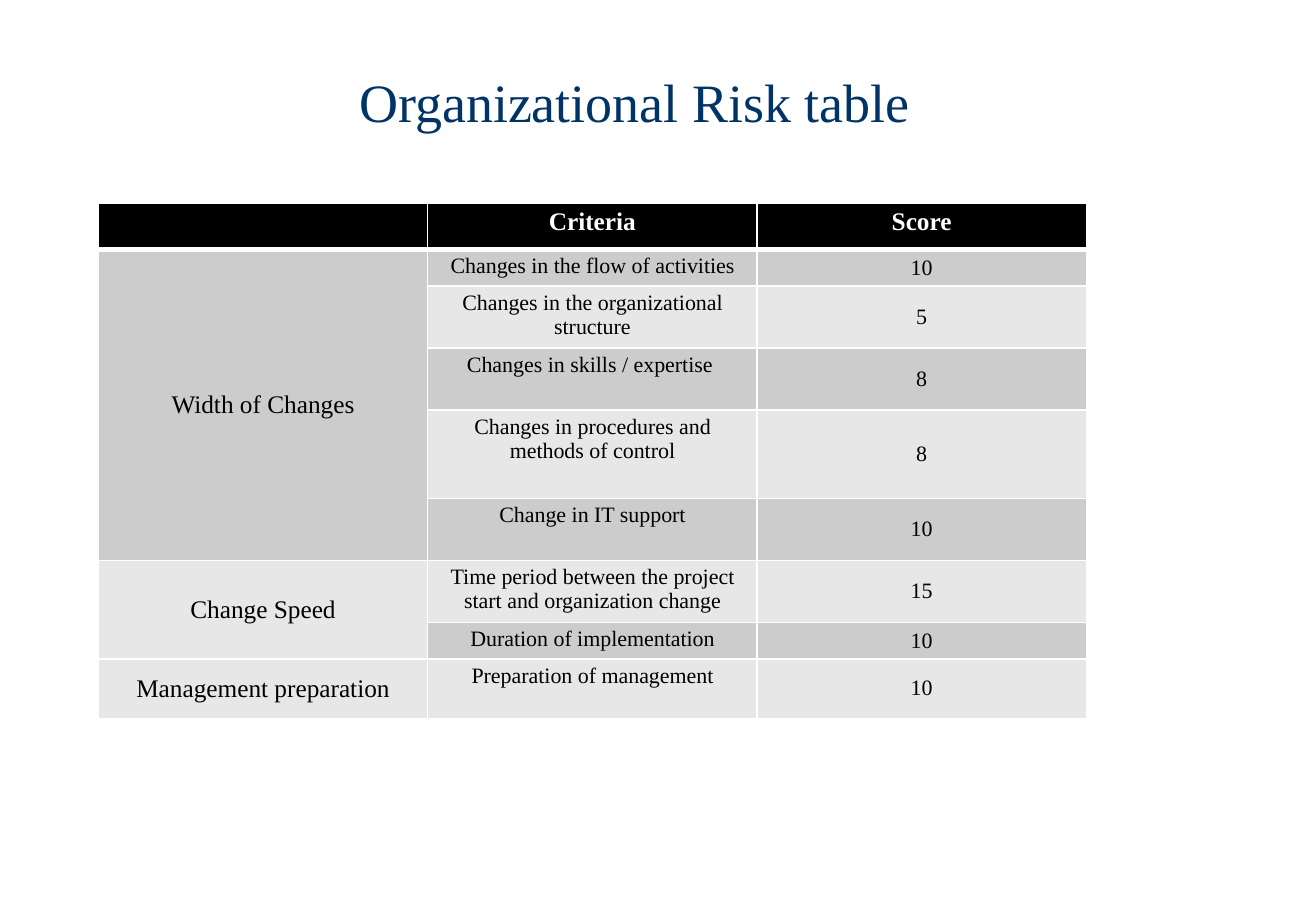
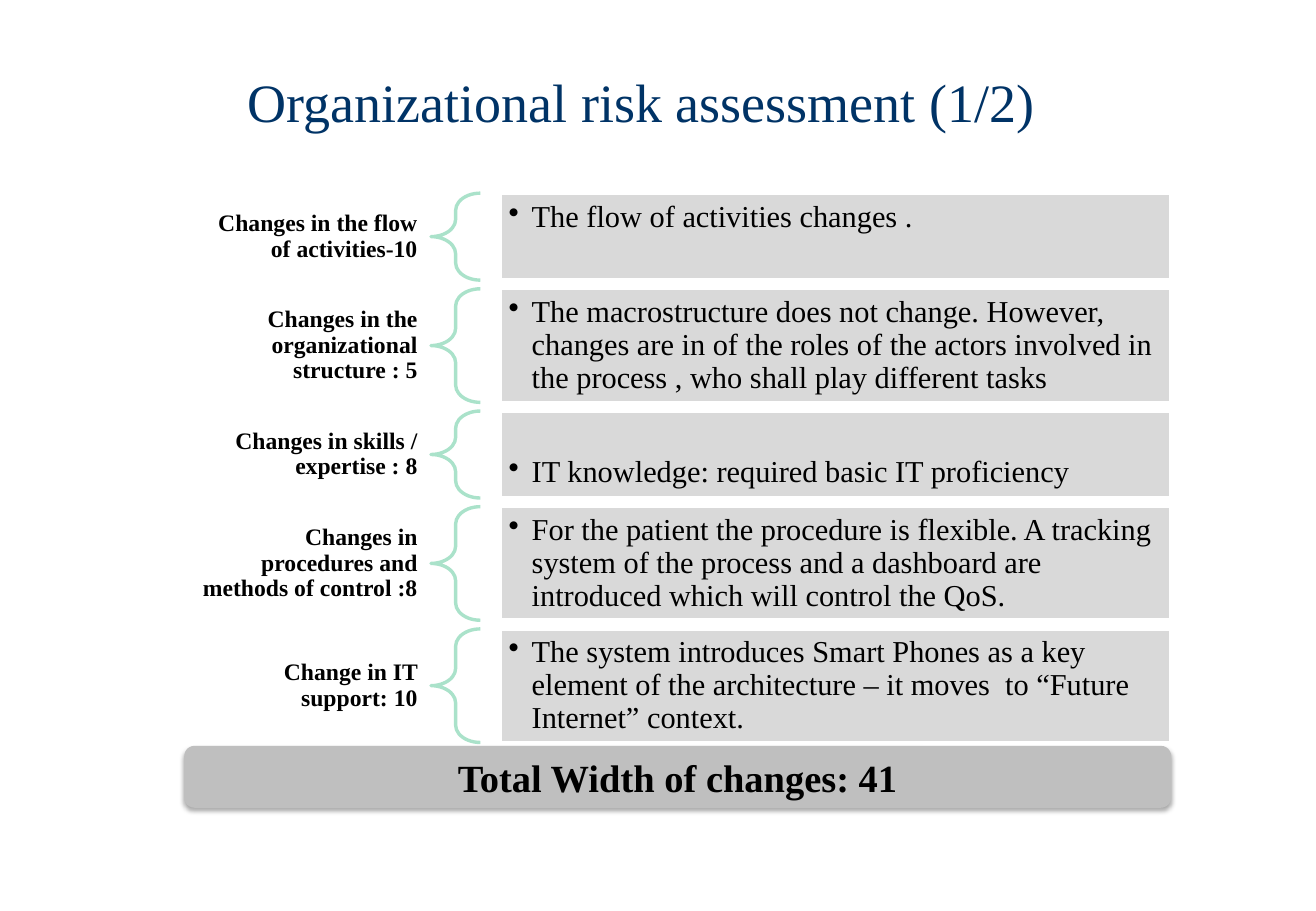
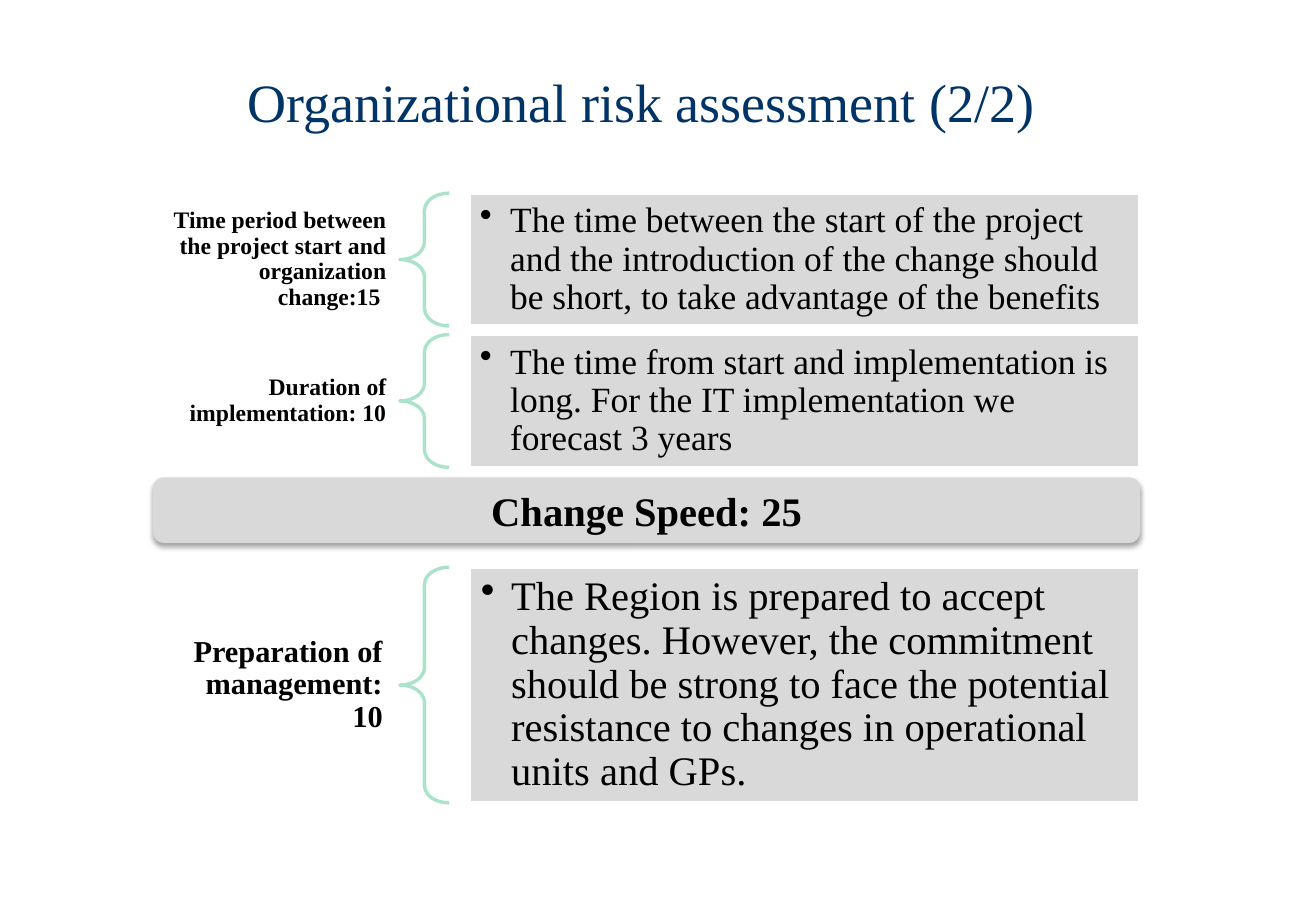
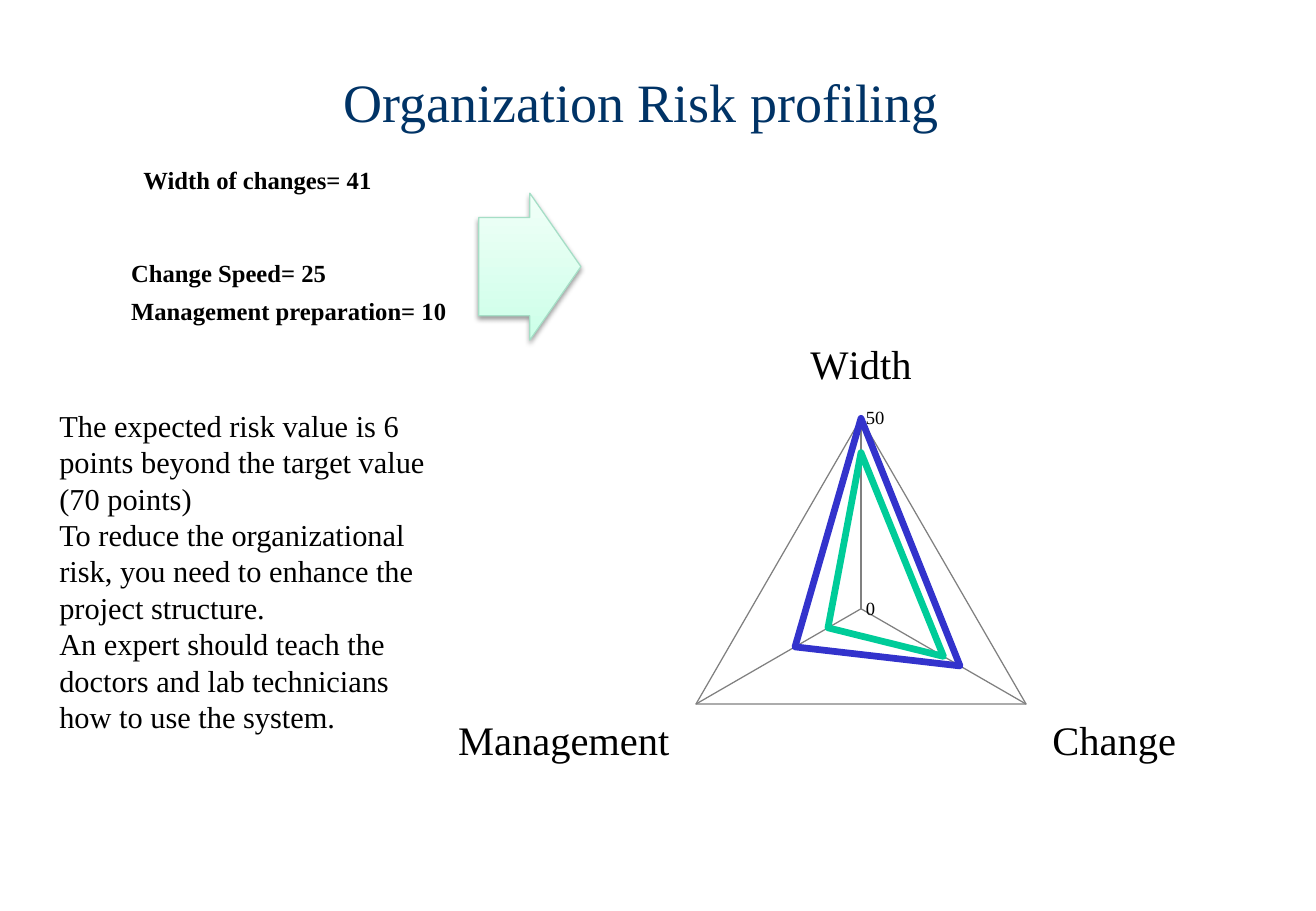
from collections import namedtuple

from lxml.etree import SubElement
from pptx import Presentation
from pptx.chart.data import CategoryChartData
from pptx.dml.color import RGBColor
from pptx.enum.chart import XL_CHART_TYPE as ChartType, XL_MARKER_STYLE as Marker, XL_TICK_MARK as Tick
from pptx.enum.shapes import MSO_SHAPE as Shape
from pptx.enum.text import MSO_ANCHOR as Anchor, PP_ALIGN as Align
from pptx.oxml import parse_xml
from pptx.oxml.ns import nsdecls, qn
from pptx.util import Inches, Pt

SLIDE_W, SLIDE_H = Inches(10.83), Inches(7.5)
FONT = "Times New Roman"
NAVY, BLACK, WHITE, MINT = "003366", "000000", "FFFFFF", "AAE2CA"
PANEL, TOTAL, GRID = "D9D9D9", "BFBFBF", "808080"
BANDS = ("CCCCCC", "E7E7E7")

Box = namedtuple("Box", "left top width height")


def share(left, top, width, height):
    """Box from percentages of the slide's width and height."""
    return Box(*(int(part * side / 100) for part, side in
                 zip((left, top, width, height), (SLIDE_W, SLIDE_H) * 2)))


TITLE_BOX = share(7.48, 4.4, 82.55, 13.33)
ROW_GAP = int(SLIDE_H * 0.0095)


def rgb(code):
    return RGBColor.from_string(code)


def apply(target, **values):
    for name, value in values.items():
        setattr(target, name, value)


def style_font(font, size, color=BLACK, bold=False):
    apply(font, name=FONT, size=Pt(size), bold=bold)
    font.color.rgb = rgb(color)


def write(frame, lines, size, color=BLACK, bold=False, align=Align.LEFT, anchor=Anchor.MIDDLE,
          inset=(0.08, 0.04), spacing=None, bullet_indent=None):
    """Fill a text frame, one paragraph for each line."""
    across, down = map(Inches, inset)
    apply(frame, word_wrap=True, vertical_anchor=anchor, margin_left=across,
          margin_right=across, margin_top=down, margin_bottom=down)
    for number, line in enumerate(lines):
        para = frame.paragraphs[0] if number == 0 else frame.add_paragraph()
        apply(para, alignment=align, line_spacing=spacing)
        if bullet_indent:
            indent = Inches(bullet_indent)
            props = para._p.get_or_add_pPr()
            props.set("marL", str(indent))
            props.set("indent", str(-indent))
            SubElement(props, qn("a:buChar")).set("char", "•")
        run = para.add_run()
        run.text = line
        style_font(run.font, size, color, bold)


def add_label(slide, box, lines, size, **text_format):
    write(slide.shapes.add_textbox(*box).text_frame, lines, size, **text_format)


def add_plain_shape(slide, kind, box, fill=None, line=None, line_width=2, adjustments=()):
    shape = slide.shapes.add_shape(kind, *box)
    shape.shadow.inherit = False
    if fill:
        shape.fill.solid()
        shape.fill.fore_color.rgb = rgb(fill)
    else:
        shape.fill.background()
    if line:
        shape.line.color.rgb = rgb(line)
        shape.line.width = Pt(line_width)
    else:
        shape.line.fill.background()
    for number, value in enumerate(adjustments):
        shape.adjustments[number] = value
    return shape


def add_drop_shadow(shape, opacity):
    shape._element.spPr.find(qn("a:effectLst")).append(parse_xml(
        f'<a:outerShdw {nsdecls("a")} blurRad="{Pt(3.1)}" dist="{Pt(1.8)}" dir="5400000" '
        f'rotWithShape="0"><a:srgbClr val="{BLACK}"><a:alpha val="{opacity * 1000}"/>'
        '</a:srgbClr></a:outerShdw>'))


def add_titled_slide(deck, heading):
    slide = deck.slides.add_slide(deck.slide_layouts.get_by_name("Title Only"))
    title = slide.shapes.title
    apply(title, **TITLE_BOX._asdict())
    write(title.text_frame, [heading], 32, NAVY, align=Align.CENTER, inset=(0.1, 0.05))
    return slide


def border_cell(cell, bottom_width):
    props = cell._tc.get_or_add_tcPr()
    for place, side in enumerate("LRTB"):
        width = Pt(bottom_width if side == "B" else 1)
        props.insert(place, parse_xml(
            f'<a:ln{side} {nsdecls("a")} w="{width}"><a:solidFill>'
            f'<a:srgbClr val="{WHITE}"/></a:solidFill></a:ln{side}>'))


def add_risk_table(slide, box, header, groups, row_weights):
    """Table whose first column spans the criteria of each group."""
    table = slide.shapes.add_table(len(row_weights), len(header), *box).table
    for column in table.columns:
        column.width = box.width // len(header)
    for row, weight in zip(table.rows, row_weights):
        row.height = int(box.height * weight / sum(row_weights))

    records = [header]
    for group, criteria in groups:
        first = len(records)
        records += [(group if n == 0 else "", *entry) for n, entry in enumerate(criteria)]
        if len(criteria) > 1:
            table.cell(first, 0).merge(table.cell(len(records) - 1, 0))

    for r, record in enumerate(records):
        for c, words in enumerate(record):
            cell = table.cell(r, c)
            cell.fill.solid()
            cell.fill.fore_color.rgb = rgb(BANDS[(r - 1) % 2] if r else BLACK)
            border_cell(cell, 1 if r else 3)
            apply(cell, margin_left=Inches(0.08), margin_right=Inches(0.08),
                  margin_top=Inches(0.04), margin_bottom=Inches(0.04),
                  vertical_anchor=Anchor.MIDDLE if r and c != 1 else Anchor.TOP)
            para = cell.text_frame.paragraphs[0]
            para.alignment = Align.CENTER
            if words:
                run = para.add_run()
                run.text = words
                style_font(run.font, 13 if r and c else 15, BLACK if r else WHITE, not r)


def add_assessments(slide, box, entries, label_size, text_size, label_inset, text_inset, indent):
    """Rows of label, brace and panel; an entry is label, text, row weight, text anchor."""
    room = box.height - ROW_GAP * (len(entries) - 1)
    total = sum(weight for _, _, weight, _ in entries)
    top = box.top
    for label, words, weight, anchor in entries:
        height = int(room * weight / total)

        def part(start, width):
            return Box(box.left + int(box.width * start), top, int(box.width * width), height)

        add_label(slide, part(0, 0.25), [label], label_size, bold=True, align=Align.RIGHT,
                  inset=label_inset, spacing=0.9)
        add_plain_shape(slide, Shape.LEFT_BRACE, part(0.25, 0.05), line=MINT,
                        adjustments=(0.35, 0.5))
        panel = add_plain_shape(slide, Shape.RECTANGLE, part(0.32, 0.68), PANEL, WHITE)
        write(panel.text_frame, [words], text_size, anchor=anchor, inset=(text_inset,) * 2,
              spacing=0.9, bullet_indent=indent)
        top += height + ROW_GAP


def add_total_bar(slide, box, words, size, fill):
    bar = add_plain_shape(slide, Shape.ROUNDED_RECTANGLE, box, fill)
    add_drop_shadow(bar, 35)
    write(bar.text_frame, [words], size, bold=True, align=Align.CENTER)


def add_profile_arrow(slide, box):
    arrow = add_plain_shape(slide, Shape.RIGHT_ARROW, box, MINT, "A5DEC6", 0.75, (0.67, 0.5))
    arrow.fill.gradient()
    arrow.fill.gradient_angle = 90
    for stop, color in zip(arrow.fill.gradient_stops, ("CCFFE8", "F1FFF8")):
        stop.color.rgb = rgb(color)
    add_drop_shadow(arrow, 38)


def add_profile_radar(slide, box, categories, series):
    """Radar chart; series holds name, values and colour."""
    data = CategoryChartData()
    data.categories = categories
    for name, values, _ in series:
        data.add_series(name, values)
    chart = slide.shapes.add_chart(ChartType.RADAR, *box, data).chart
    apply(chart, has_legend=False, has_title=False)
    style_font(chart.font, 11)
    chart.plots[0].vary_by_categories = False
    for axis, size in ((chart.category_axis, 24), (chart.value_axis, 11)):
        apply(axis, has_major_gridlines=True, major_tick_mark=Tick.NONE,
              minor_tick_mark=Tick.NONE)
        style_font(axis.tick_labels.font, size)
        for line in (axis.format.line, axis.major_gridlines.format.line):
            line.color.rgb = rgb(GRID)
            line.width = Pt(0.75)
    apply(chart.value_axis, minimum_scale=0, maximum_scale=50, major_unit=50)
    for plotted, (_, _, color) in zip(chart.plots[0].series, series):
        plotted.format.line.color.rgb = rgb(color)
        plotted.format.line.width = Pt(4)
        plotted.marker.style = Marker.NONE


def build_risk_table(deck):
    slide = add_titled_slide(deck, "Organizational Risk table ")
    groups = [
        ("Width of Changes", [
            ("Changes in the flow of activities", "10"),
            ("Changes in the organizational structure", "5"),
            ("Changes in skills / expertise ", "8"),
            ("Changes in procedures and methods of control", "8"),
            ("Change in IT support", "10")]),
        ("Change Speed", [
            ("Time period between the project start and organization change", "15"),
            ("Duration of implementation", "10")]),
        ("Management preparation", [("Preparation of management", "10")]),
    ]
    add_risk_table(slide, share(7.48, 22.27, 75.07, 55.87), ("", "Criteria", "Score"), groups,
                   (33, 30, 51, 51, 73, 51, 51, 30, 49))


def build_width_assessment(deck):
    slide = add_titled_slide(deck, "Organizational risk assessment (1/2)")
    low, high = 72, 94
    entries = [
        ("Changes in the flow of activities-10", "The flow of activities changes .",
         low, Anchor.TOP),
        ("Changes in the organizational structure : 5",
         "The macrostructure does not change. However, changes are in of the roles of the "
         "actors involved in the process , who shall play different tasks", high, Anchor.MIDDLE),
        ("Changes in skills / expertise : 8", "IT knowledge: required basic IT proficiency",
         low, Anchor.BOTTOM),
        ("Changes in procedures and methods of control :8",
         "For the patient the procedure is flexible. A tracking system of the process and a "
         "dashboard are introduced which will control the QoS.", high, Anchor.MIDDLE),
        ("Change in IT support: 10",
         "The system introduces Smart Phones as a key element of the architecture – it "
         "moves  to “Future Internet” context.", high, Anchor.MIDDLE),
    ]
    add_assessments(slide, share(14, 21.2, 75, 60.3), entries, 14, 18, (0.11, 0.04), 0.07, 0.19)
    add_total_bar(slide, share(14, 81.87, 75, 6.8), "Total Width of changes: 41", 22.8, TOTAL)


def build_speed_assessment(deck):
    slide = add_titled_slide(deck, "Organizational risk assessment (2/2)")
    speed = [
        ("Time period between the project start and organization change:15 ",
         "The time between the start of the project and the introduction of the change should "
         "be short, to take advantage of the benefits", 1, Anchor.MIDDLE),
        ("Duration of implementation: 10",
         "The time from start and implementation is long. For the IT implementation we "
         "forecast 3 years", 1, Anchor.MIDDLE),
    ]
    management = [
        ("Preparation of management: 10",
         "The Region is prepared to accept changes. However, the commitment should be strong "
         "to face the potential resistance to changes in operational units and GPs.",
         1, Anchor.MIDDLE),
    ]
    left, width = 11.63, 75
    add_assessments(slide, share(left, 21.2, width, 30.1), speed, 14, 21, (0.11, 0.04), 0.09, 0.25)
    add_assessments(slide, share(left, 62.27, width, 25.87), management, 18, 24, (0.14, 0.05),
                    0.1, 0.25)
    add_total_bar(slide, share(left, 52.4, width, 7.2), "Change Speed: 25", 24, PANEL)


def build_profile(deck):
    slide = add_titled_slide(deck, "Organization Risk profiling")
    add_profile_radar(slide, share(32.87, 36.53, 58.45, 52.27),
                      ("Width", "Change", "Management"),
                      [("Series 1", (41, 25, 10), "00CC99"),
                       ("Series 2", (50, 30, 20), "3333CC"),
                       ("Series 3", (0, 0, 0), WHITE)])
    scores = [("Width of changes= 41", 10.16, 17.6),
              ("Change Speed= 25", 9.23, 27.73),
              ("Management preparation= 10", 9.23, 32)]
    for score, left, top in scores:
        add_label(slide, share(left, top, 27.15, 4.4), [score], 14.6, bold=True,
                  anchor=Anchor.TOP)
    add_profile_arrow(slide, share(36.38, 21.2, 7.76, 16.13))
    advice = [
        "The expected risk value is 6 points beyond the target value (70 points)",
        "To reduce the organizational risk, you need to enhance the project structure.",
        "An expert should teach the doctors and lab technicians how to use the system.",
    ]
    add_label(slide, share(3.6, 44, 31.12, 37.73), advice, 18, anchor=Anchor.TOP,
              inset=(0.1, 0.05))


def main():
    deck = Presentation()
    apply(deck, slide_width=SLIDE_W, slide_height=SLIDE_H)
    for build in (build_risk_table, build_width_assessment, build_speed_assessment,
                  build_profile):
        build(deck)
    deck.save("out.pptx")


if __name__ == "__main__":
    main()
